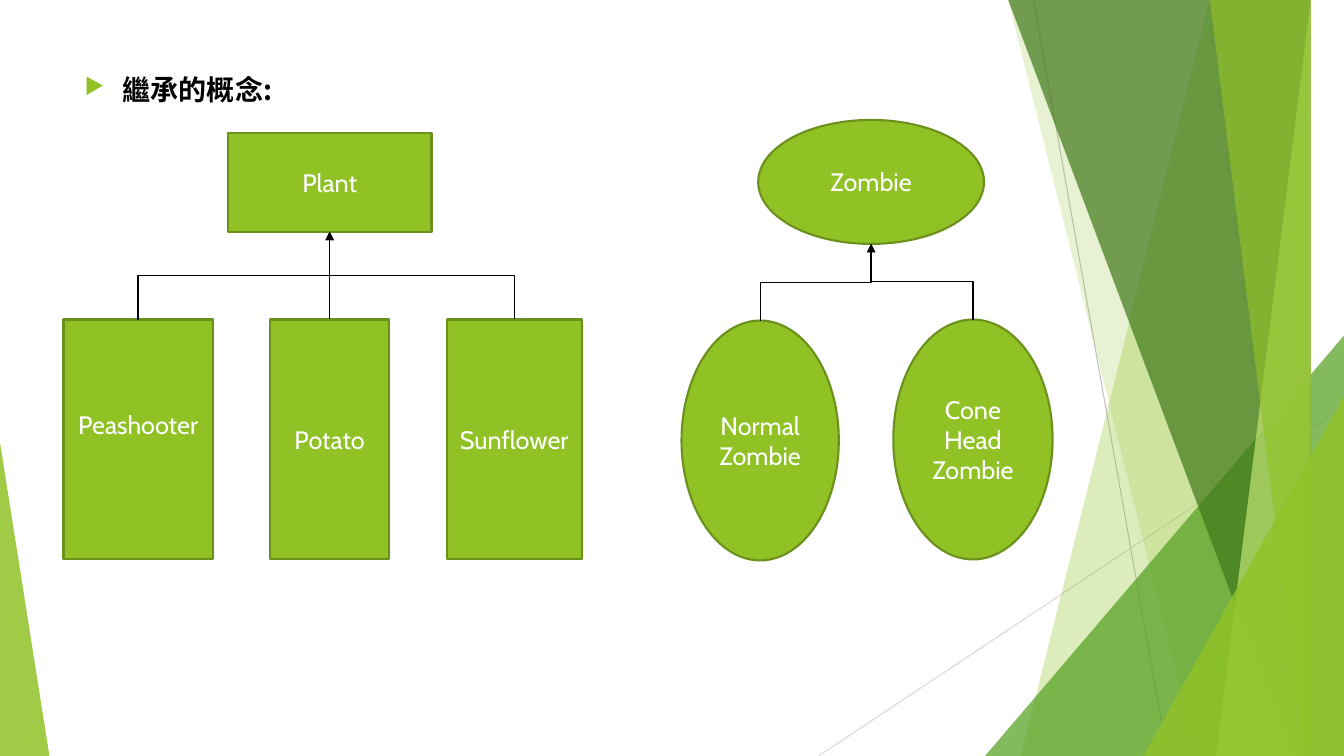
import pptx
import pptx.util
import pptx.dml.color
import pptx.enum.shapes
import pptx.enum.text
import pptx.oxml.ns
from lxml import etree

IN = pptx.util.Inches
SHAPE = pptx.enum.shapes.MSO_SHAPE
LINK = pptx.enum.shapes.MSO_CONNECTOR
ALIGN = pptx.enum.text.PP_ALIGN
ANCHOR = pptx.enum.text.MSO_ANCHOR
qn = pptx.oxml.ns.qn

W, H = 13.33, 7.5
GREEN, EDGE = "90C226", "6B901C"
LATIN, CJK = "Cabin", "Noto Sans CJK SC"


def color(hex_text):
    return pptx.dml.color.RGBColor.from_string(hex_text)


def child(parent, tag, **attrs):
    return etree.SubElement(parent, qn(tag), attrs)


def paint(sp, fill, alpha=100, line=None):
    """Set fill, opacity in percent and outline, without a shadow."""
    sp.shadow.inherit = False
    sp.fill.solid()
    sp.fill.fore_color.rgb = color(fill)
    if alpha < 100:
        clr = sp._element.spPr.find(qn("a:solidFill"))[0]
        child(clr, "a:alpha", val=str(alpha * 1000))
    if line:
        sp.line.color.rgb = color(line)
        sp.line.width = pptx.util.Pt(1.5)
    else:
        sp.line.fill.background()


def write(tf, text, size=18, font=LATIN, fill="FFFFFF", bold=False,
          align=ALIGN.CENTER, anchor=ANCHOR.MIDDLE):
    """Write one paragraph per line of text."""
    tf.word_wrap = True
    tf.vertical_anchor = anchor
    for i, line in enumerate(text.split("\n")):
        p = tf.add_paragraph() if i else tf.paragraphs[0]
        p.alignment = align
        r = p.add_run()
        r.text = line
        r.font.size, r.font.bold, r.font.name = pptx.util.Pt(size), bold, font
        r.font.color.rgb = color(fill)
        child(r._r.get_or_add_rPr(), "a:ea", typeface=font)


def add_line(s, kind, begin, end, stroke, width):
    c = s.shapes.add_connector(kind, *map(IN, begin + end))
    c.line.color.rgb = color(stroke)
    c.line.width = pptx.util.Pt(width)
    child(c._element.spPr, "a:effectLst")
    return c


def polygon(s, points, fill, alpha):
    fb = s.shapes.build_freeform(*points[0], scale=IN(1))
    fb.add_line_segments(points[1:], close=True)
    paint(fb.convert_to_shape(), fill, alpha)


def corner(s, box, apex, fill, alpha):
    """Right triangle whose apex sits at a share of its width."""
    sp = s.shapes.add_shape(SHAPE.ISOSCELES_TRIANGLE, *map(IN, box))
    sp.adjustments[0] = apex
    paint(sp, fill, alpha)


def facets(s):
    """Translucent panels along the slide's right and left edges."""
    add_line(s, LINK.STRAIGHT, (10.25, 0), (11.58, H), "BFBFBF", 0.75)
    add_line(s, LINK.STRAIGHT, (W, 4.03), (8.12, H), "D9D9D9", 0.75)

    def panel(top, bottom, fill, alpha):
        polygon(s, [(top, 0), (W, 0), (W, H), (bottom, H)], fill, alpha)

    def right_corner(left, top, fill, alpha):
        corner(s, (left, top, W - left, H - top), 1, fill, alpha)

    panel(12.28, 10.04, GREEN, 30)
    panel(10.5, 11.83, GREEN, 20)
    right_corner(9.77, 3.33, "54A021", 72)
    panel(10.21, 12.91, "3F7819", 70)
    panel(13.03, 11.92, "C0E474", 70)
    panel(11.96, 13.18, GREEN, 65)
    right_corner(11.34, 3.93, GREEN, 80)
    corner(s, (0, 4.39, 0.49, H - 4.39), 0, GREEN, 85)


def heading(s, box, text):
    tf = s.shapes.add_textbox(*map(IN, box)).text_frame
    write(tf, text, size=20, font=CJK, fill="000000", bold=True,
          align=ALIGN.LEFT, anchor=ANCHOR.TOP)
    p = tf.paragraphs[0]
    p.space_before = pptx.util.Pt(10)
    pPr = p._p.get_or_add_pPr()
    pPr.set("marL", str(IN(0.38)))
    pPr.set("indent", str(IN(-0.38)))
    child(child(pPr, "a:buClr"), "a:srgbClr", val=GREEN)
    child(pPr, "a:buSzPct", val="80000")
    child(pPr, "a:buFont", typeface="Wingdings 3")
    pPr.remove(pPr[-1])
    child(pPr, "a:buChar", char="▶")


def node(s, kind, box, text):
    sp = s.shapes.add_shape(kind, *map(IN, box))
    paint(sp, GREEN, line=EDGE)
    write(sp.text_frame, text)
    return sp


def inherit_arrow(s, low, high):
    """Elbow arrow from the top of one box to the bottom of another."""
    x1, y1 = low[0] + low[2] / 2, low[1]
    x2, y2 = high[0] + high[2] / 2, high[1] + high[3]
    cx, cy = (x1 + x2) / 2, (y1 + y2) / 2
    run, rise = abs(x2 - x1), y1 - y2
    # A quarter turn makes the elbow leave its start vertically.
    side = 1 if x1 > x2 else -1
    c = add_line(s, LINK.ELBOW, (cx - rise / 2, cy + side * run / 2),
                 (cx + rise / 2, cy - side * run / 2), "000000", 1)
    c._element.spPr.find(qn("a:xfrm")).set("rot", str(270 * 60000))
    child(c.line._get_or_add_ln(), "a:tailEnd", type="triangle")


def family(s, kind, parent, children):
    """Parent over its children, each joined to it by an arrow."""
    box, text = parent
    node(s, kind, box, text)
    nodes = [node(s, kind, b, t) for b, t in children]
    for b, _ in children:
        inherit_arrow(s, b, box)
    return nodes


def main():
    prs = pptx.Presentation()
    prs.slide_width, prs.slide_height = IN(W), IN(H)
    s = prs.slides.add_slide(prs.slide_layouts[6])
    facets(s)
    heading(s, (0.74, 0.67, 9.4, 5.94), "繼承的概念:")
    top, height = 3.17, 2.38
    plants = family(s, SHAPE.RECTANGLE, ((2.26, 1.32, 2.02, 0.98), "Plant"), [
        ((0.63, top, 1.48, height), "Peashooter"),
        ((2.68, top, 1.18, height), "Potato"),
        ((4.43, top, 1.34, height), "Sunflower")])
    plants[0].text_frame.margin_bottom = IN(0.35)
    family(s, SHAPE.OVAL, ((7.52, 1.19, 2.24, 1.23), "Zombie"), [
        ((6.76, 3.18, 1.56, height), "Normal\nZombie"),
        ((8.86, top, 1.58, height), "Cone\nHead\nZombie")])
    prs.save("out.pptx")


if __name__ == "__main__":
    main()
